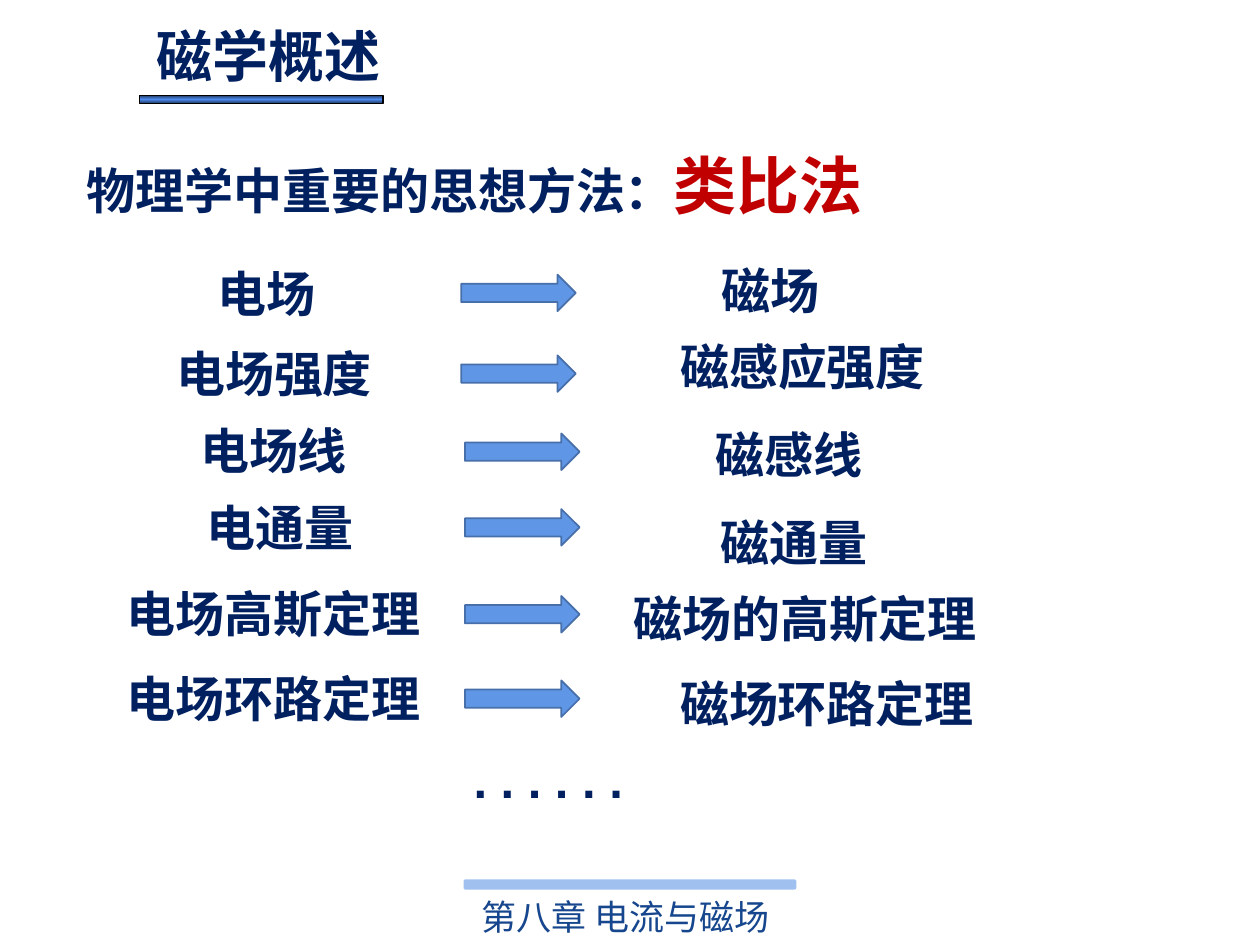
from copy import deepcopy

from lxml import etree
from pptx import Presentation
from pptx.dml.color import RGBColor
from pptx.enum.shapes import MSO_SHAPE
from pptx.enum.text import MSO_ANCHOR, MSO_AUTO_SIZE, PP_ALIGN
from pptx.oxml.ns import qn
from pptx.util import Inches, Pt

RECT = MSO_SHAPE.RECTANGLE
ROUNDED = MSO_SHAPE.ROUNDED_RECTANGLE
ARROW = MSO_SHAPE.RIGHT_ARROW
TOP, LEFT = MSO_ANCHOR.TOP, PP_ALIGN.LEFT
NO_AUTOFIT = MSO_AUTO_SIZE.NONE

NAVY = RGBColor(0x00, 0x20, 0x60)
RED = RGBColor(0xC0, 0x00, 0x00)
BLACK = RGBColor(0x00, 0x00, 0x00)
FOOTER_BLUE = RGBColor(0x16, 0x46, 0x8D)
FOOTER_BAR = RGBColor(0xA0, 0xC0, 0xF0)
BAR_DARK = RGBColor(0x24, 0x40, 0x6E)
BAR_LIGHT = RGBColor(0x4D, 0x8A, 0xED)
ARROW_FILL = RGBColor(0x60, 0x96, 0xE6)
ARROW_LINE = RGBColor(0x47, 0x6F, 0xAA)

CJK = "Noto Sans CJK SC"
TERM_SIZE = 28
CHAR_WIDTH, TERM_HEIGHT = 0.395, 0.57

TITLE = "磁学概述"
FOOTER = "第八章 电流与磁场"
METHOD = [("物理学中重要的思想方法：", 28, NAVY), ("类比法", 36, RED)]

# electric term (text, left, top), arrow (left, top), magnetic term
ANALOGIES = [
    (("电场", 1.63, 2.04), (3.66, 2.18), ("磁场", 5.63, 2.02)),
    (("电场强度", 1.3, 2.68), (3.66, 2.82), ("磁感应强度", 5.3, 2.62)),
    (("电场线", 1.49, 3.29), (3.69, 3.44), ("磁感线", 5.58, 3.32)),
    (("电通量", 1.54, 3.9), (3.69, 4.04), ("磁通量", 5.62, 4.02)),
    (("电场高斯定理", 0.91, 4.58), (3.69, 4.73), ("磁场的高斯定理", 4.93, 4.62)),
    (("电场环路定理", 0.91, 5.26), (3.69, 5.4), ("磁场环路定理", 5.3, 5.3)),
]


def format_run(r, size, color, font="Arial", bold=True):
    r.font.size, r.font.bold, r.font.name = Pt(size), bold, font
    r.font.color.rgb = color
    ea = etree.SubElement(r.font._element, qn("a:ea"))
    ea.set("typeface", CJK)


def fill_text(sp, runs, font="Arial", bold=True, wrap=False):
    """Write (text, size, colour) runs into a box or placeholder."""
    tf = sp.text_frame
    tf.auto_size, tf.word_wrap, tf.vertical_anchor = NO_AUTOFIT, wrap, TOP
    p = tf.paragraphs[0]
    p.alignment = LEFT
    for text, size, color in runs:
        r = p.add_run()
        r.text = text
        format_run(r, size, color, font, bold)


def add_text(slide, box, runs, **style):
    sp = slide.shapes.add_textbox(*map(Inches, box))
    fill_text(sp, runs, **style)


def add_term(slide, text, left, top):
    width = CHAR_WIDTH * len(text) + 0.2
    add_text(slide, (left, top, width, TERM_HEIGHT), [(text, TERM_SIZE, NAVY)])


def add_shape(slide, kind, box, fill, line=None, width=1):
    sp = slide.shapes.add_shape(kind, *map(Inches, box))
    sp.shadow.inherit = False
    sp.fill.solid()
    sp.fill.fore_color.rgb = fill
    if line is None:
        sp.line.fill.background()
    else:
        sp.line.color.rgb = line
        sp.line.width = Pt(width)
    return sp


def add_title(slide):
    sp = slide.shapes.title
    sp.left, sp.top, sp.width, sp.height = map(Inches, (1.14, 0.12, 2, 0.64))
    fill_text(sp, [(TITLE, 32, NAVY)], font="Times New Roman")

    bar = add_shape(slide, RECT, (1.11, 0.76, 1.93, 0.06), BAR_LIGHT, BLACK, 0.75)
    bar.fill.gradient()
    bar.fill.gradient_angle = 90
    for stop in bar.fill.gradient_stops:
        stop.color.rgb = BAR_DARK
    stops = bar._element.spPr.find(".//" + qn("a:gsLst"))
    middle = deepcopy(stops[0])
    middle.set("pos", "50000")
    stops.insert(1, middle)
    bar.fill.gradient_stops[1].color.rgb = BAR_LIGHT


def main():
    prs = Presentation()
    prs.slide_width, prs.slide_height = Inches(10), Inches(7.5)
    slide = prs.slides.add_slide(prs.slide_layouts[5])

    add_shape(slide, ROUNDED, (3.68, 6.98, 2.64, 0.08), FOOTER_BAR)
    add_text(slide, (3.72, 7.06, 2.57, 0.44), [(FOOTER, 20, FOOTER_BLUE)],
             font=CJK, bold=False, wrap=True)
    add_title(slide)
    add_text(slide, (0.59, 1.11, 8.82, 0.71), METHOD, font=CJK, wrap=True)

    for electric, (left, top), magnetic in ANALOGIES:
        add_term(slide, *electric)
        add_shape(slide, ARROW, (left, top, 0.91, 0.29), ARROW_FILL, ARROW_LINE)
        add_term(slide, *magnetic)
    add_text(slide, (3.66, 5.9, 1.81, TERM_HEIGHT),
             [(". . . . . .", TERM_SIZE, NAVY)], wrap=True)

    prs.save("out.pptx")


if __name__ == "__main__":
    main()
